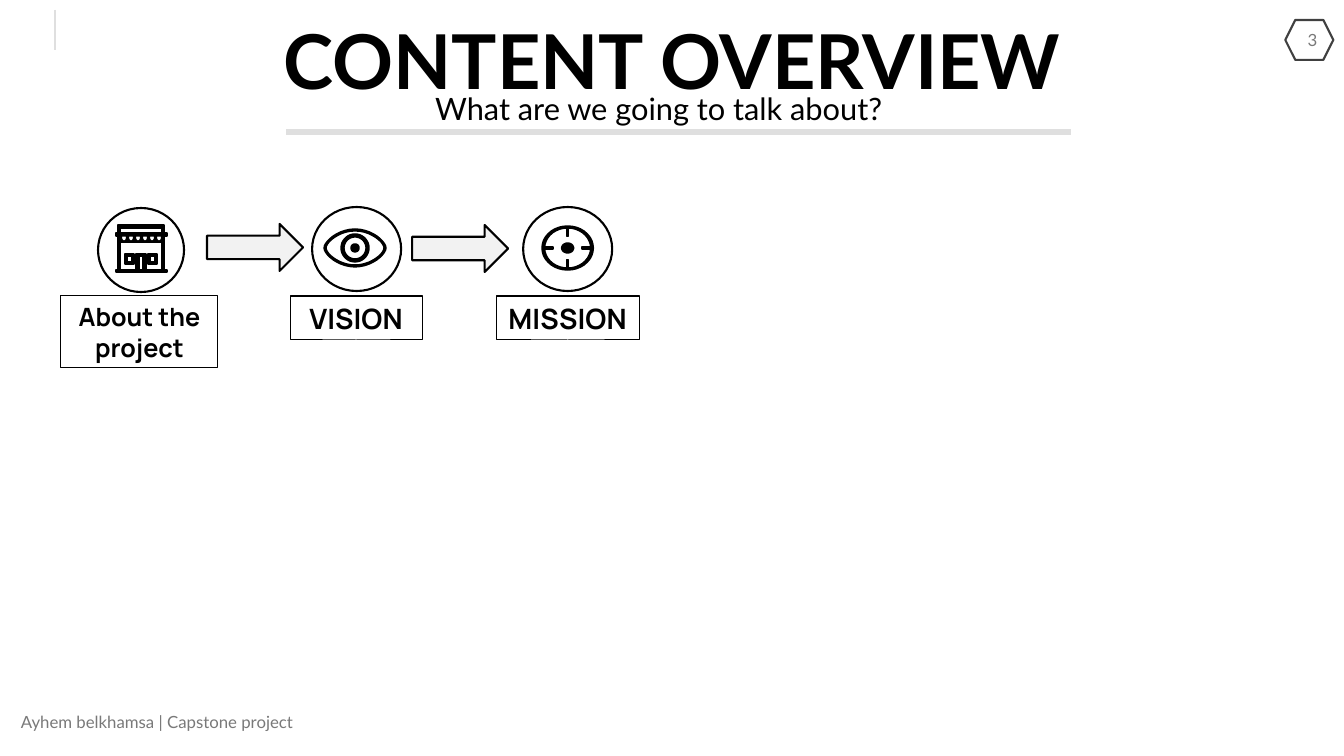
from math import cos, radians, sin

from lxml.etree import SubElement
from pptx import Presentation
from pptx.dml.color import RGBColor
from pptx.enum.shapes import MSO_CONNECTOR, MSO_SHAPE
from pptx.enum.text import MSO_ANCHOR as ANCHOR, MSO_AUTO_SIZE as AUTO, PP_ALIGN as ALIGN
from pptx.oxml.ns import qn
from pptx.util import Emu, Inches, Pt

PX = 914400 / 100.8
BLACK, GREY, PALE = "000000", "797979", "DFDFDF"


def px(*lengths):
    return [Emu(round(length * PX)) for length in lengths]


def color(value):
    return RGBColor.from_string(value)


def style(shape, fill, line, weight):
    shape.shadow.inherit = False
    if fill:
        shape.fill.solid()
        shape.fill.fore_color.rgb = color(fill)
    else:
        shape.fill.background()
    shape.line.color.rgb = color(line)
    shape.line.width = Pt(weight)


def write(shape, text, size, font="Lato", ink=BLACK, bold=False,
          align=ALIGN.CENTER, anchor=ANCHOR.MIDDLE, fit=AUTO.NONE):
    frame = shape.text_frame
    frame.text = text
    frame.word_wrap = True
    frame.auto_size = fit
    frame.vertical_anchor = anchor
    paragraph = frame.paragraphs[0]
    paragraph.alignment = align
    paragraph.font.name = font
    paragraph.font.size = Pt(size)
    paragraph.font.bold = bold
    paragraph.font.color.rgb = color(ink)


def add_title(slide, text, box):
    title = slide.shapes.title
    title.left, title.top, title.width, title.height = px(*box)
    write(title, text, 54, bold=True, anchor=ANCHOR.TOP, fit=AUTO.SHAPE_TO_FIT_TEXT)


def add_text(slide, text, box, size, **options):
    write(slide.shapes.add_textbox(*px(*box)), text, size, **options)


def add_preset(slide, preset, box, fill=None, line=BLACK, weight=1.5):
    shape = slide.shapes.add_shape(preset, *px(*box))
    style(shape, fill, line, weight)
    return shape


def add_rule(slide, start, end, weight):
    rule = slide.shapes.add_connector(MSO_CONNECTOR.STRAIGHT, *px(*start, *end))
    rule.line.color.rgb = color(PALE)
    rule.line.width = Pt(weight)
    SubElement(rule._element.spPr, qn("a:effectLst"))


def rect(left, top, right, bottom):
    return [(left, top), (right, top), (right, bottom), (left, bottom)]


def arc(x, y, rx, ry, sweep=360):
    """Points clockwise from the right-hand side of an ellipse."""
    return [(x + rx * cos(radians(a)), y + ry * sin(radians(a)))
            for a in range(0, sweep + 1, 10)]


def lens(x, y, rx, ry):
    """Pointed eye outline, mirrored from one cubic quarter."""
    quarter = []
    for step in range(11):
        t = step / 10
        u = 1 - t
        quarter.append((rx * (u**3 + 3 * u * u * t + 1.65 * u * t * t),
                        ry * (u * u * t + 3 * u * t * t + t**3)))
    lower = quarter + [(-dx, dy) for dx, dy in reversed(quarter)]
    return [(x + dx, y + dy) for dx, dy in lower + [(dx, -dy) for dx, dy in reversed(lower)]]


def add_icon(slide, contours):
    """Fill nested contours alternately, on a grid of tenths of a px."""
    grid = [[(round(x * 10), round(y * 10)) for x, y in contour] for contour in contours]
    builder = slide.shapes.build_freeform(*grid[0][0], scale=PX / 10)
    for index, contour in enumerate(grid):
        if index:
            builder.move_to(*contour[0])
        builder.add_line_segments(contour[1:], close=True)
    style(builder.convert_to_shape(), BLACK, BLACK, 1)


def shop_contours():
    walls = [(118, 225), (164, 225), (164, 233), (167, 233), (167, 236), (164, 236),
             (164, 270), (167, 270), (167, 272), (116, 272), (116, 270), (118, 270),
             (118, 236), (116, 236), (116, 233), (118, 233)]
    front = [(120, 242), (162, 242), (162, 270), (146, 270), (146, 254),
             (136, 254), (136, 270), (120, 270)]
    awning = [arc(x, 238, 2.5, 3, 180) + [(x - 2.5, 236), (x + 2.5, 236)]
              for x in range(124, 160, 7)]
    windows = [rect(x + inset, 254 + inset, x + 9 - inset, 264 - inset)
               for x in (125, 148) for inset in (0, 2)]
    return [walls, rect(120, 228, 162, 233), front, rect(139, 256, 143, 270),
            *awning, *windows]


def eye_contours():
    x, y = 355, 248
    return [lens(x, y, 31, 19), lens(x, y, 29, 17),
            *[arc(x, y, r, r) for r in (14, 11, 4)]]


def target_contours():
    x, y = 567.5, 248
    ticks = [rect(x - 1, 228, x + 1, 236), rect(x - 1, 260, x + 1, 268),
             rect(544.5, y - 1, 553, y + 1), rect(582, y - 1, 590.5, y + 1)]
    return [arc(x, y, 25.7, 22), arc(x, y, 23, 20), arc(x, y, 6, 5), *ticks]


def add_step(slide, text, size, label_box, circle_box, contours):
    label = add_preset(slide, MSO_SHAPE.RECTANGLE, label_box, weight=0.75)
    write(label, text, size, font="Manrope", bold=True, fit=AUTO.SHAPE_TO_FIT_TEXT)
    add_icon(slide, contours)
    add_preset(slide, MSO_SHAPE.OVAL, circle_box)


def main():
    deck = Presentation()
    deck.slide_width, deck.slide_height = Inches(13.33), Inches(7.5)
    slide = deck.slides.add_slide(deck.slide_layouts[5])

    add_preset(slide, MSO_SHAPE.HEXAGON, (1285, 20, 48, 40), line="404040")
    add_rule(slide, (55, 10), (55, 50), 1.5)
    add_text(slide, "Ayhem belkhamsa | Capstone project", (11, 702, 454, 40), 12,
             ink=GREY, align=ALIGN.LEFT)
    add_text(slide, "3", (1279, 20, 48, 40), 12, ink=GREY, align=ALIGN.RIGHT)

    add_title(slide, "CONTENT OVERVIEW", (263, 9, 818, 102))
    add_text(slide, "What are we going to talk about?", (398, 85, 521, 47), 22,
             fit=AUTO.SHAPE_TO_FIT_TEXT)
    add_rule(slide, (286, 132), (1071, 132), 4.5)

    steps = [
        ("About the project", 18, (61, 296, 157, 72), (98, 208, 86, 84), shop_contours()),
        ("VISION", 20, (290, 296, 132, 44), (312, 207, 89, 84), eye_contours()),
        ("MISSION", 20, (496, 296, 143, 44), (523, 207, 89, 84), target_contours()),
    ]
    for step in steps:
        add_step(slide, *step)
    for left, top in ((207, 224), (412, 225)):
        add_preset(slide, MSO_SHAPE.RIGHT_ARROW, (left, top, 96, 47), fill="F2F2F2")

    deck.save("out.pptx")


if __name__ == "__main__":
    main()
